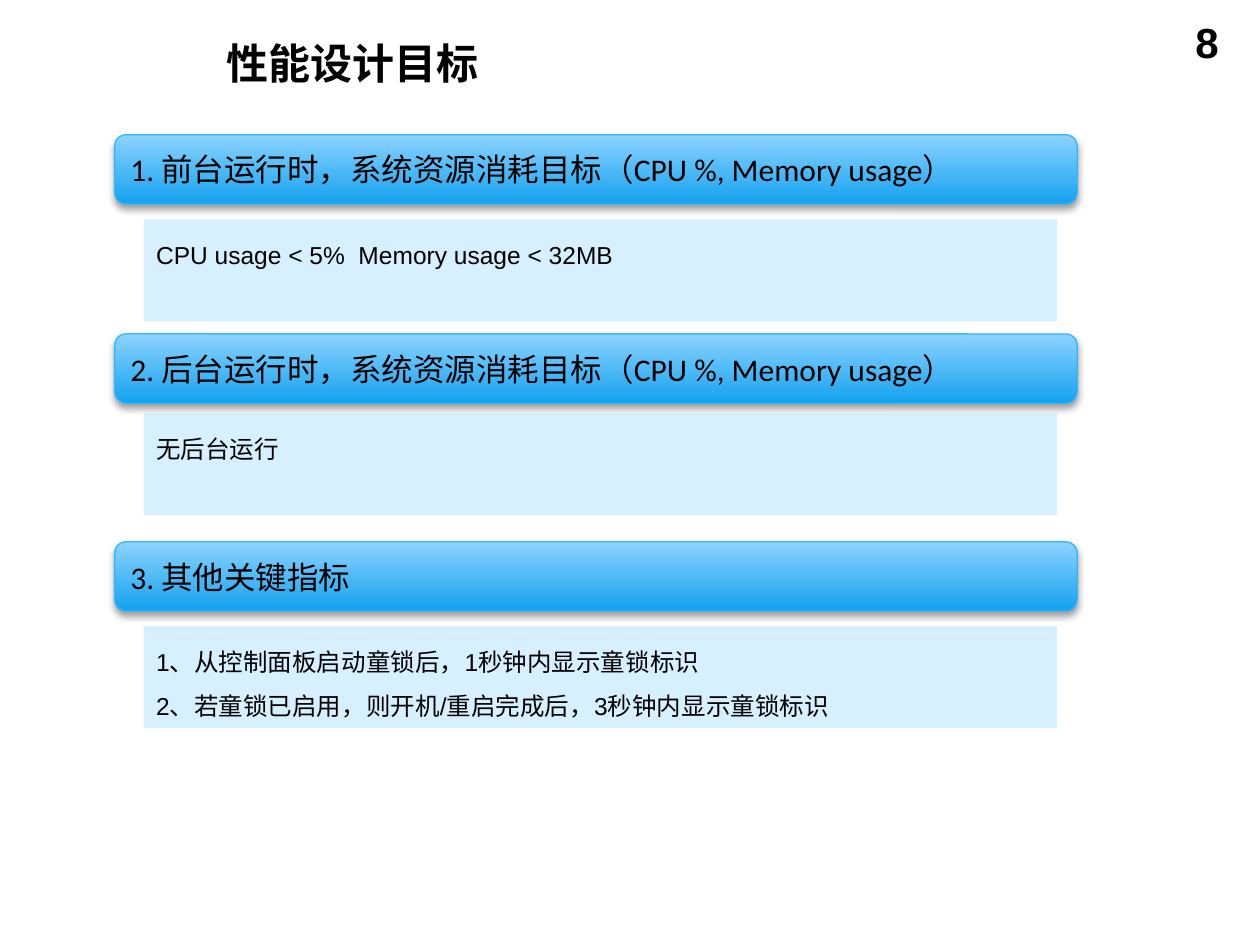
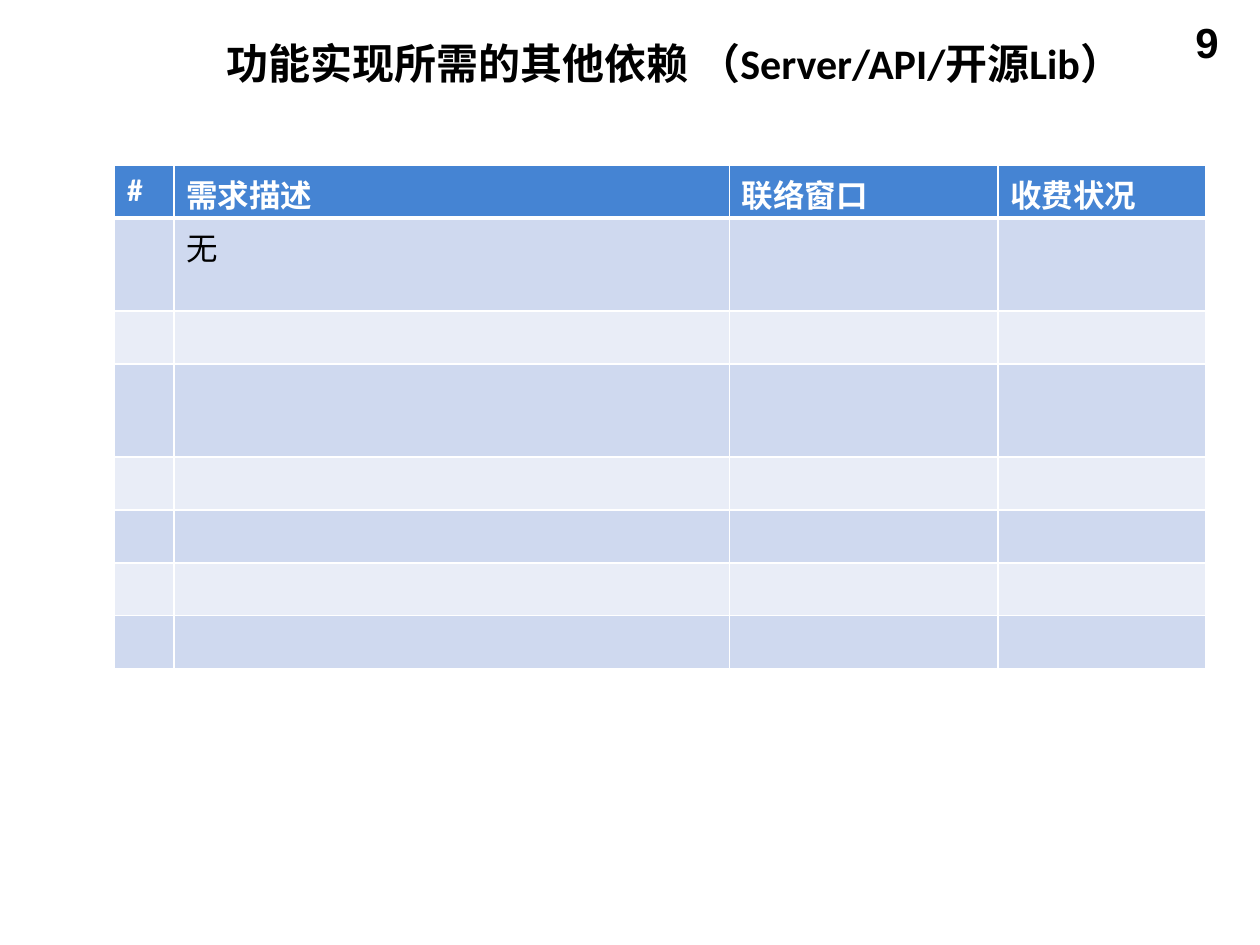
"""Build two slides: performance targets and feature dependencies."""
import pptx
import pptx.chart.data
import pptx.dml.color
import pptx.enum.shapes
import pptx.enum.text
import pptx.oxml
import pptx.util
import lxml.etree

Pt = pptx.util.Pt
ALIGN = pptx.enum.text.PP_ALIGN
ANCHOR = pptx.enum.text.MSO_ANCHOR
SHAPE = pptx.enum.shapes.MSO_SHAPE
NAMESPACE = "http://schemas.openxmlformats.org/drawingml/2006/main"

BLACK, WHITE = "000000", "FFFFFF"
BAR_TOP, BAR_BOTTOM, BAR_LINE, PANEL = "8CD3FF", "14A2EF", "31B6FD", "D6F0FF"
HEADER, BAND_DARK, BAND_LIGHT = "4584D3", "CFD9EF", "E9EDF7"
LEFT = 65.5


def color(value):
    return pptx.dml.color.RGBColor.from_string(value)


def write(frame, lines, size, name, ink=BLACK, bold=False, align=ALIGN.LEFT, spacing=None):
    frame.word_wrap = True
    frame.text = "\n".join(lines)
    for paragraph in frame.paragraphs:
        paragraph.alignment = align
        paragraph.line_spacing = spacing
        paragraph.font.size = Pt(size)
        paragraph.font.name = name
        paragraph.font.bold = bold
        paragraph.font.color.rgb = color(ink)


presentation = pptx.Presentation()
presentation.slide_width, presentation.slide_height = Pt(720), Pt(540)

slides = []
for number, title in (
    ("8", "性能设计目标"),
    ("9", "功能实现所需的其他依赖 （Server/API/开源Lib）"),
):
    slide = presentation.slides.add_slide(presentation.slide_layouts[6])
    number_box = slide.shapes.add_textbox(Pt(535.5), Pt(6), Pt(168), Pt(37.5))
    write(number_box.text_frame, [number], 24, "Arial", bold=True, align=ALIGN.RIGHT)
    title_box = slide.shapes.add_textbox(Pt(122.5), Pt(18), Pt(549.5), Pt(36))
    write(title_box.text_frame, [title], 24, "Calibri", bold=True)
    slides.append(slide)
target_slide, dependency_slide = slides

targets = (
    (77, 125.3, "1. 前台运行时，系统资源消耗目标（CPU %, Memory usage） ",
     ["CPU usage < 5%  Memory usage < 32MB"]),
    (190.8, 236.2, "2. 后台运行时，系统资源消耗目标（CPU %, Memory usage） ",
     ["无后台运行"]),
    (309.6, 357.8, "3. 其他关键指标",
     ["1、从控制面板启动童锁后，1秒钟内显示童锁标识",
      "2、若童锁已启用，则开机/重启完成后，3秒钟内显示童锁标识"]),
)
for bar_y, panel_y, heading, lines in targets:
    panel = target_slide.shapes.add_shape(SHAPE.RECTANGLE, Pt(82.1), Pt(panel_y), Pt(522), Pt(58.3))
    panel.shadow.inherit = False
    panel.fill.solid()
    panel.fill.fore_color.rgb = color(PANEL)
    panel.line.fill.background()
    panel.text_frame.vertical_anchor = ANCHOR.TOP
    write(panel.text_frame, lines, 14, "Arial", spacing=1.5)

    bar = target_slide.shapes.add_shape(
        SHAPE.ROUNDED_RECTANGLE, Pt(LEFT), Pt(bar_y), Pt(550), Pt(39.6))
    bar.fill.gradient()
    bar.fill.gradient_angle = 270
    for stop, shade, position in zip(bar.fill.gradient_stops, (BAR_TOP, BAR_BOTTOM), (0, 1)):
        stop.color.rgb = color(shade)
        stop.position = position
    bar.line.color.rgb = color(BAR_LINE)
    bar.line.width = Pt(0.75)
    bar.shadow.inherit = False
    effects = bar.element.spPr.find(f"{{{NAMESPACE}}}effectLst")
    effects.append(pptx.oxml.parse_xml(
        f'<a:outerShdw xmlns:a="{NAMESPACE}" blurRad="{Pt(4)}" dist="{Pt(2)}" dir="5400000" '
        f'rotWithShape="0"><a:srgbClr val="{BLACK}"><a:alpha val="38000"/></a:srgbClr>'
        '</a:outerShdw>'))
    bar.text_frame.vertical_anchor = ANCHOR.MIDDLE
    write(bar.text_frame, [heading], 18, "Calibri")

column_widths = (33.8, 317.5, 153.4, 118.8)
row_heights = (30.2, 53.3, 30.2, 53.3, 30.2, 30.2, 30.2, 30.2)
cell_texts = {
    (0, 0): "#", (0, 1): "需求描述", (0, 2): "联络窗口", (0, 3): "收费状况",
    (1, 1): "无",
}
table = dependency_slide.shapes.add_table(
    len(row_heights), len(column_widths), Pt(LEFT), Pt(94.3),
    Pt(sum(column_widths)), Pt(sum(row_heights))).table
for column, width in zip(table.columns, column_widths):
    column.width = Pt(width)
for row_index, (row, height) in enumerate(zip(table.rows, row_heights)):
    row.height = Pt(height)
    is_header = row_index == 0
    fill = HEADER if is_header else (BAND_LIGHT, BAND_DARK)[row_index % 2]
    for column_index, cell in enumerate(row.cells):
        write(cell.text_frame, [cell_texts.get((row_index, column_index), "")], 18, "Calibri",
              ink=WHITE if is_header else BLACK, bold=is_header)
        properties = cell._tc.get_or_add_tcPr()
        for edge in ("lnL", "lnR", "lnT", "lnB"):
            thick = (is_header and edge == "lnB") or (row_index == 1 and edge == "lnT")
            border = lxml.etree.SubElement(
                properties, f"{{{NAMESPACE}}}{edge}", w=str(Pt(3 if thick else 1)))
            solid = lxml.etree.SubElement(border, f"{{{NAMESPACE}}}solidFill")
            lxml.etree.SubElement(solid, f"{{{NAMESPACE}}}srgbClr", val=WHITE)
        cell.fill.solid()
        cell.fill.fore_color.rgb = color(fill)

presentation.save("out.pptx")
